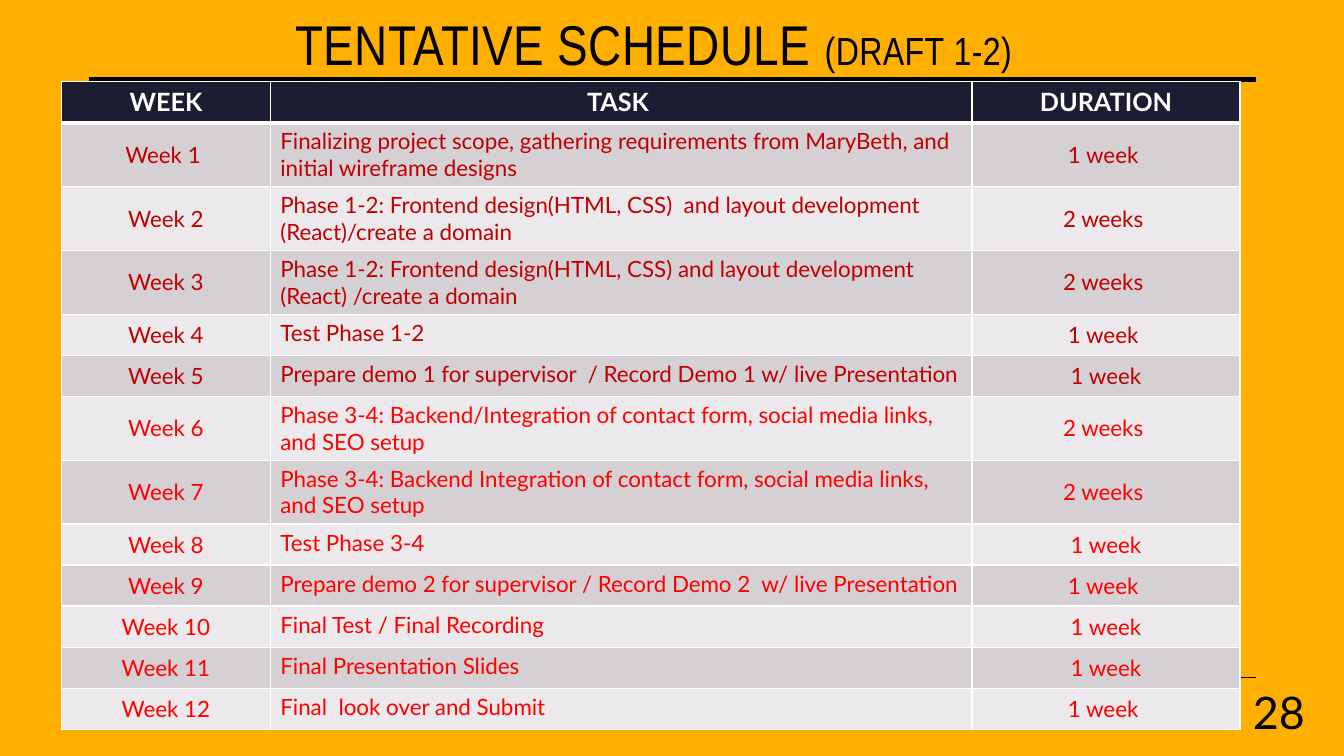
from dataclasses import dataclass

from lxml.etree import SubElement
from pptx import Presentation
from pptx.dml.color import RGBColor
from pptx.enum.shapes import MSO_CONNECTOR as Connector
from pptx.enum.text import MSO_ANCHOR as Anchor, PP_ALIGN as Align
from pptx.oxml.ns import qn
from pptx.util import Inches, Pt


@dataclass(frozen=True)
class Theme:
    background: str = "FFAF00"
    ink: str = "000000"
    white: str = "FFFFFF"
    header: str = "1C1C32"
    bands: tuple = ("D5D0D3", "EBE9EB")
    first_half: str = "C00000"
    second_half: str = "FF0000"
    title_font: str = "Arial Narrow"
    body_font: str = "Lato"
    title_size: int = 40
    subtitle_size: int = 28
    number_size: int = 32
    header_size: int = 18
    body_size: int = 16
    title_spacing: int = 30
    border: int = 1
    header_border: int = 3


HEADINGS = ("WEEK", "TASK ", "DURATION")
COLUMN_SHARES = (15.53, 52.21, 19.95)
ONE_LINE, TWO_LINES = 5.43, 8.44
LINE_CAPACITY = 70
FIRST_HALF_WEEKS = 5
SCHEDULE = (
    ("Week 1 ", "Finalizing project scope, gathering requirements from MaryBeth, "
                "and initial wireframe designs", "1 week "),
    ("Week 2", "Phase 1-2: Frontend design(HTML, CSS)  and layout development "
               "(React)/create a domain", "2 weeks "),
    ("Week 3", "Phase 1-2: Frontend design(HTML, CSS) and layout development "
               "(React) /create a domain", "2 weeks "),
    ("Week 4", "Test Phase 1-2", "1 week "),
    ("Week 5", "Prepare demo 1 for supervisor  / Record Demo 1 w/ live Presentation", "1 week"),
    ("Week 6", "Phase 3-4: Backend/Integration of contact form, social media links, "
               "and SEO setup", "2 weeks "),
    ("Week 7", "Phase 3-4: Backend Integration of contact form, social media links, "
               "and SEO setup", "2 weeks "),
    ("Week 8", "Test Phase 3-4", "1 week"),
    ("Week 9", "Prepare demo 2 for supervisor / Record Demo 2  w/ live Presentation", "1 week "),
    ("Week 10", "Final Test / Final Recording", "1 week"),
    ("Week 11", "Final Presentation Slides", "1 week"),
    ("Week 12", "Final  look over and Submit", "1 week "),
)


class SlideBuilder:
    def __init__(self, presentation, theme):
        self.theme = theme
        self.width = presentation.slide_width
        self.height = presentation.slide_height
        self.slide = presentation.slides.add_slide(presentation.slide_layouts[6])
        fill = self.slide.background.fill
        fill.solid()
        fill.fore_color.rgb = RGBColor.from_string(theme.background)

    def across(self, percent):
        return round(self.width * percent / 100)

    def down(self, percent):
        return round(self.height * percent / 100)

    def box(self, left, top, width, height):
        return self.across(left), self.down(top), self.across(width), self.down(height)

    def style(self, run, font, size, color, bold=False):
        run.font.name = font
        run.font.size = Pt(size)
        run.font.bold = bold
        run.font.color.rgb = RGBColor.from_string(color)

    def rule(self, left, right, top, weight):
        y = self.down(top)
        line = self.slide.shapes.add_connector(
            Connector.STRAIGHT, self.across(left), y, self.across(right), y)
        line.line.color.rgb = RGBColor.from_string(self.theme.ink)
        line.line.width = Pt(weight)
        SubElement(line._element.spPr, qn("a:effectLst"))

    def text(self, box, parts, font, align, spacing=0):
        frame = self.slide.shapes.add_textbox(*self.box(*box)).text_frame
        frame.word_wrap = True
        frame.vertical_anchor = Anchor.MIDDLE
        paragraph = frame.paragraphs[0]
        paragraph.alignment = align
        for words, size in parts:
            run = paragraph.add_run()
            run.text = words
            self.style(run, font, size, self.theme.ink)
            if spacing:
                run.font._element.set("spc", str(spacing))

    def borders(self, cell, top, bottom):
        properties = cell._tc.get_or_add_tcPr()
        weights = {"L": self.theme.border, "R": self.theme.border, "T": top, "B": bottom}
        for side, weight in weights.items():
            line = SubElement(properties, qn(f"a:ln{side}"), w=str(Pt(weight)))
            solid = SubElement(line, qn("a:solidFill"))
            SubElement(solid, qn("a:srgbClr"), val=self.theme.white)

    def cell(self, cell, words, fill, color, size, bold, centered):
        cell.fill.solid()
        cell.fill.fore_color.rgb = RGBColor.from_string(fill)
        cell.vertical_anchor = Anchor.MIDDLE if centered else Anchor.TOP
        cell.text_frame.text = words
        paragraph = cell.text_frame.paragraphs[0]
        paragraph.alignment = Align.CENTER if centered else Align.LEFT
        self.style(paragraph.runs[0], self.theme.body_font, size, color, bold)

    def schedule(self, left, top, headings, entries):
        theme = self.theme
        rows = (headings, *entries)
        heights = [TWO_LINES if len(row[1]) > LINE_CAPACITY else ONE_LINE for row in rows]
        table = self.slide.shapes.add_table(
            len(rows), len(headings),
            *self.box(left, top, sum(COLUMN_SHARES), sum(heights))).table
        for column, share in zip(table.columns, COLUMN_SHARES):
            column.width = self.across(share)
        for week, (row, height) in enumerate(zip(rows, heights)):
            table.rows[week].height = self.down(height)
            heading = week == 0
            fill = theme.header if heading else theme.bands[(week - 1) % 2]
            body = theme.first_half if week <= FIRST_HALF_WEEKS else theme.second_half
            color = theme.white if heading else body
            size = theme.header_size if heading else theme.body_size
            above = theme.header_border if week == 1 else theme.border
            below = theme.header_border if heading else theme.border
            for index, words in enumerate(row):
                cell = table.cell(week, index)
                self.borders(cell, above, below)
                self.cell(cell, words, fill, color, size, heading, heading or index != 1)


def main():
    presentation = Presentation()
    presentation.slide_width = Inches(13.33)
    presentation.slide_height = Inches(7.5)
    theme = Theme()
    builder = SlideBuilder(presentation, theme)
    for top, weight in ((10.53, 3.5), (89.6, 1)):
        builder.rule(6.6, 93.47, top, weight)
    builder.text(
        (4.8, -3.87, 87.7, 19.07),
        (("TENTATIVE SCHEDULE ", theme.title_size), ("(DRAFT 1-2)", theme.subtitle_size)),
        theme.title_font, Align.CENTER, theme.title_spacing)
    builder.text((92.27, 91.47, 5.55, 5.33), (("28", theme.number_size),),
                 theme.body_font, Align.RIGHT)
    builder.schedule(4.58, 10.8, HEADINGS, SCHEDULE)
    presentation.save("out.pptx")


if __name__ == "__main__":
    main()
